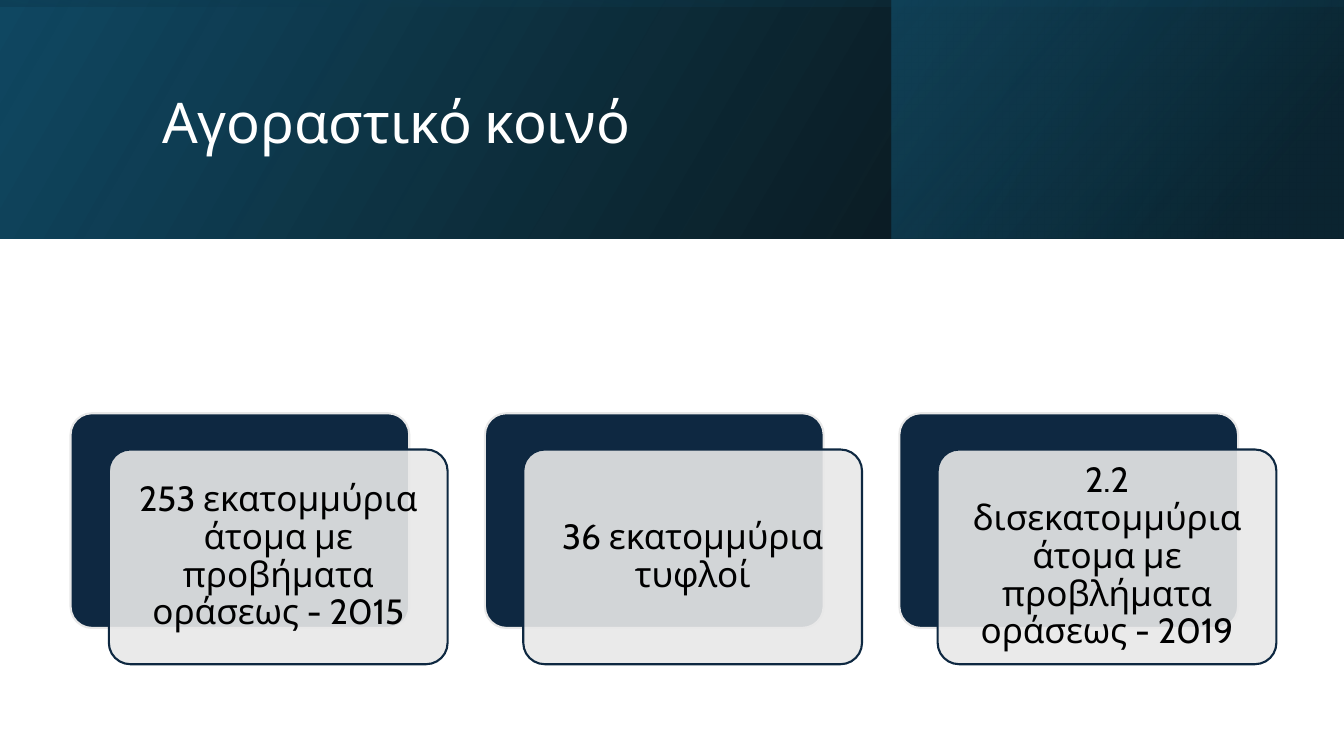
from lxml import etree
from pptx import Presentation
from pptx import util as u
from pptx.dml.color import RGBColor
from pptx.enum import shapes, text
from pptx.oxml import ns

# Content
TITLE = "Αγοραστικό κοινό"
CARDS = [
    "253 εκατομμύρια άτομα με προβήματα οράσεως - 2015",
    "36 εκατομμύρια τυφλοί",
    "2.2 δισεκατομμύρια άτομα με προβλήματα οράσεως - 2019",
]

THEME = {
    "font": "Cabin", "title_size": 40, "card_size": 25,
    "title": "FFFFFF", "body": "000000", "navy": "0E2841", "grey": "E8E8E8",
    "black": "000000", "blue": "104862", "deep": "0B3041", "teal": "156082",
}

# Layout, in inches
WIDTH, HEIGHT = 13.33, 7.5
BAND_H = 2.37
ACCENT_X = 8.84
CARD_X, CARD_Y, CARD_W, CARD_H = 0.7, 4.1, 3.36, 2.13
CARD_PITCH = 4.11
SHIFT_X, SHIFT_Y = 0.38, 0.36
PAD = 0.06

# Header layers: box, rotation, angle, stops (position %, colour, opacity %)
BANDS = [
    ((0, 0, WIDTH, BAND_H), 0, 330,
     [(0, "black", 96), (100, "blue", 100)]),
    ((ACCENT_X, 0, WIDTH - ACCENT_X, BAND_H), 0, 320,
     [(19, "deep", 68), (100, "teal", 48)]),
    (((WIDTH - BAND_H) / 2, (BAND_H - WIDTH) / 2, BAND_H, WIDTH), 270, 350,
     [(23, "blue", 16), (99, "black", 45)]),
]


def inches(box):
    return [u.Inches(v) for v in box]


def rgb(name):
    return RGBColor.from_string(THEME[name])


def sub(parent, tag, **attrs):
    node = etree.SubElement(parent, ns.qn(tag))
    for key, value in attrs.items():
        node.set(key, str(value))
    return node


def add_band(s, box, rotation, angle, stops):
    sp = s.shapes.add_shape(shapes.MSO_SHAPE.RECTANGLE, *inches(box))
    sp.shadow.inherit = False
    sp.line.fill.background()
    sp.rotation = rotation
    props = sp.element.spPr
    props.find(ns.qn("a:xfrm")).set("flipH", "1")
    grad = etree.Element(ns.qn("a:gradFill"), rotWithShape="1")
    stop_list = sub(grad, "a:gsLst")
    for position, colour, opacity in stops:
        stop = sub(stop_list, "a:gs", pos=position * 1000)
        clr = sub(stop, "a:srgbClr", val=THEME[colour])
        sub(clr, "a:alpha", val=opacity * 1000)
    sub(grad, "a:lin", ang=angle * 60000, scaled=0)
    props.find(ns.qn("a:prstGeom")).addnext(grad)


def add_card(parent, box, fill, line, opacity=100):
    sp = parent.shapes.add_shape(shapes.MSO_SHAPE.ROUNDED_RECTANGLE, *inches(box))
    sp.adjustments[0] = 0.1
    sp.shadow.inherit = False
    sp.fill.solid()
    sp.fill.fore_color.rgb = rgb(fill)
    sp.line.color.rgb = rgb(line)
    sp.line.width = u.Pt(1.5)
    if opacity < 100:
        clr = sp.element.spPr.find(ns.qn("a:solidFill")).find(ns.qn("a:srgbClr"))
        sub(clr, "a:alpha", val=opacity * 1000)


def add_text(parent, words, box, size, colour, align, margin_y=0.05):
    tf = parent.shapes.add_textbox(*inches(box)).text_frame
    tf.word_wrap = True
    tf.vertical_anchor = text.MSO_ANCHOR.MIDDLE
    tf.margin_left = tf.margin_right = u.Inches(0.1)
    tf.margin_top = tf.margin_bottom = u.Inches(margin_y)
    p = tf.paragraphs[0]
    p.alignment = align
    p.line_spacing = 0.9
    r = p.add_run()
    r.text = words
    r.font.name = THEME["font"]
    r.font.size = u.Pt(THEME[size])
    r.font.color.rgb = rgb(colour)


def main():
    prs = Presentation()
    prs.slide_width, prs.slide_height = inches((WIDTH, HEIGHT))
    s = prs.slides.add_slide(prs.slide_layouts[6])

    # Header
    for band in BANDS:
        add_band(s, *band)
    add_text(s, TITLE, (1.51, 0.38, 10.63, 1.72), "title_size", "title",
             text.PP_ALIGN.LEFT)

    # Cards: a navy back, a translucent front and its text
    group = s.shapes.add_group_shape()
    for i, words in enumerate(CARDS):
        x = CARD_X + i * CARD_PITCH
        front_x, front_y = x + SHIFT_X, CARD_Y + SHIFT_Y
        add_card(group, (x, CARD_Y, CARD_W, CARD_H), "navy", "grey")
        add_card(group, (front_x, front_y, CARD_W, CARD_H), "grey", "navy", opacity=90)
        inner = (front_x + PAD, front_y + PAD, CARD_W - 2 * PAD, CARD_H - 2 * PAD)
        add_text(group, words, inner, "card_size", "body",
                 text.PP_ALIGN.CENTER, margin_y=0.1)

    prs.save("out.pptx")


if __name__ == "__main__":
    main()
